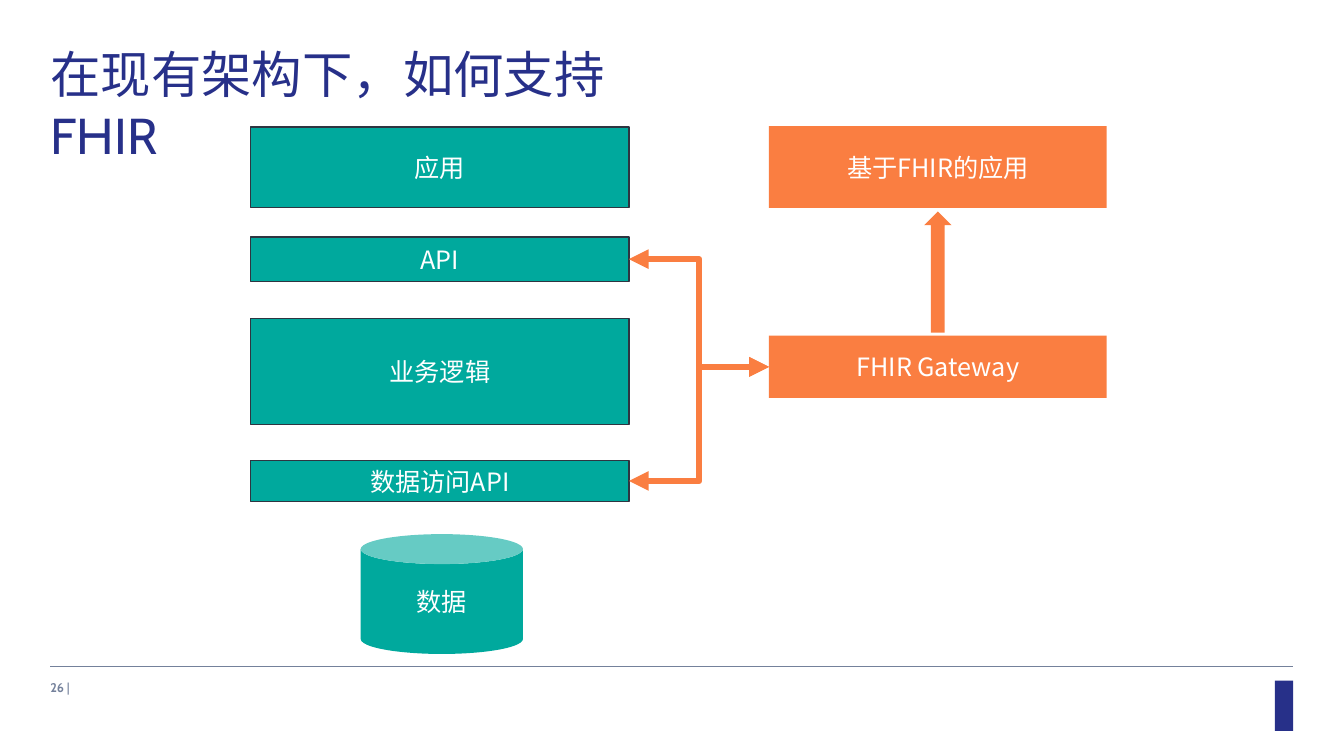
import lxml.etree
import pptx
import pptx.dml.color
import pptx.enum.shapes
import pptx.enum.text
import pptx.oxml.ns
import pptx.util
from pptx.util import Cm

SHAPE = pptx.enum.shapes.MSO_SHAPE
CONNECTOR = pptx.enum.shapes.MSO_CONNECTOR
ALIGN = pptx.enum.text.PP_ALIGN
ANCHOR = pptx.enum.text.MSO_ANCHOR
CJK_FONT = "Noto Sans CJK SC"
LATIN_FONT = "Cabin"
TEAL, ORANGE, NAVY = "00A99D", "FA7E41", "273089"
GREY, OUTLINE, WHITE = "74819B", "2E3541", "FFFFFF"


def color(value):
    """Turn a hex string into a colour."""
    return pptx.dml.color.RGBColor.from_string(value)


def add_xml(parent, tag, **attributes):
    """Append a DrawingML element to a parent."""
    return lxml.etree.SubElement(parent, pptx.oxml.ns.qn(tag), attributes)


def style_paragraph(paragraph, size, text_color, latin):
    """Set size, colour and the Latin and East Asian fonts."""
    font = paragraph.font
    font.size = pptx.util.Pt(size)
    font.color.rgb = color(text_color)
    font.name = latin
    add_xml(font._element, "a:ea", typeface=CJK_FONT)


def clear_margins(frame):
    """Wrap the text and remove the insets."""
    frame.word_wrap = True
    frame.margin_left = frame.margin_right = 0
    frame.margin_top = frame.margin_bottom = 0


def add_block(slide, kind, left, top, width, height, fill, label="", outline=None):
    """Add a filled shape with a centred label."""
    shape = slide.shapes.add_shape(kind, Cm(left), Cm(top), Cm(width), Cm(height))
    shape.shadow.inherit = False
    shape.fill.solid()
    shape.fill.fore_color.rgb = color(fill)
    if outline:
        shape.line.color.rgb = color(outline)
        shape.line.width = pptx.util.Pt(0.96)
    else:
        shape.line.fill.background()
    if label:
        frame = shape.text_frame
        clear_margins(frame)
        frame.vertical_anchor = ANCHOR.MIDDLE
        paragraph = frame.paragraphs[0]
        paragraph.text = label
        paragraph.alignment = ALIGN.CENTER
        style_paragraph(paragraph, 18, WHITE, CJK_FONT)
    return shape


def add_text(slide, left, top, width, height, runs, size, text_color):
    """Add a one-paragraph text box from (text, bold) runs."""
    box = slide.shapes.add_textbox(Cm(left), Cm(top), Cm(width), Cm(height))
    clear_margins(box.text_frame)
    paragraph = box.text_frame.paragraphs[0]
    for text, bold in runs:
        run = paragraph.add_run()
        run.text = text
        run.font.bold = bold
    style_paragraph(paragraph, size, text_color, LATIN_FONT)


def add_line(slide, kind, start, end, line_color, width):
    """Add a connector without a shadow between two points."""
    points = [Cm(value) for value in (*start, *end)]
    connector = slide.shapes.add_connector(kind, *points)
    connector.line.color.rgb = color(line_color)
    connector.line.width = pptx.util.Pt(width)
    add_xml(connector._element.spPr, "a:effectLst")
    return connector


def link_blocks(slide, source, target):
    """Join two blocks with a double-headed elbow connector."""
    connector = add_line(slide, CONNECTOR.ELBOW, (0, 0), (1, 1), ORANGE, 4.7)
    connector.begin_connect(source, 3)
    connector.end_connect(target, 1)
    line = connector.line._get_or_add_ln()
    add_xml(line, "a:round")
    for tag in ("a:headEnd", "a:tailEnd"):
        add_xml(line, tag, type="triangle", w="med", len="med")


def main():
    """Build the slide and save it."""
    presentation = pptx.Presentation()
    presentation.slide_width, presentation.slide_height = Cm(33.87), Cm(19.05)
    slide = presentation.slides.add_slide(presentation.slide_layouts[6])

    add_block(slide, SHAPE.RECTANGLE, 32.13, 17.15, 0.46, 1.27, NAVY)
    add_line(slide, CONNECTOR.STRAIGHT, (1.27, 16.79), (32.59, 16.79), GREY, 0.48)
    add_text(slide, 1.27, 1.09, 16.5, 1.6, [("在现有架构下，如何支持FHIR", False)], 36, NAVY)

    layers = {}
    for label, top, height in (
        ("应用", 3.2, 2.03),
        ("API", 5.97, 1.12),
        ("业务逻辑", 8.03, 2.67),
        ("数据访问API", 11.6, 1.04),
    ):
        layers[label] = add_block(
            slide, SHAPE.RECTANGLE, 6.32, top, 9.53, height, TEAL, label, OUTLINE
        )
    add_block(slide, SHAPE.CAN, 9.09, 13.46, 4.09, 3.02, TEAL, "数据")

    add_block(slide, SHAPE.RECTANGLE, 19.38, 3.18, 8.51, 2.06, ORANGE, "基于FHIR的应用")
    gateway = add_block(
        slide, SHAPE.RECTANGLE, 19.38, 8.46, 8.51, 1.57, ORANGE, "FHIR Gateway"
    )
    add_block(slide, SHAPE.UP_ARROW, 23.29, 5.33, 0.69, 3.05, ORANGE)
    for label in ("API", "数据访问API"):
        link_blocks(slide, layers[label], gateway)

    add_text(slide, 1.27, 17.14, 8.38, 0.41, [("26 ", True), ("|", False)], 9, GREY)
    presentation.save("out.pptx")


if __name__ == "__main__":
    main()
